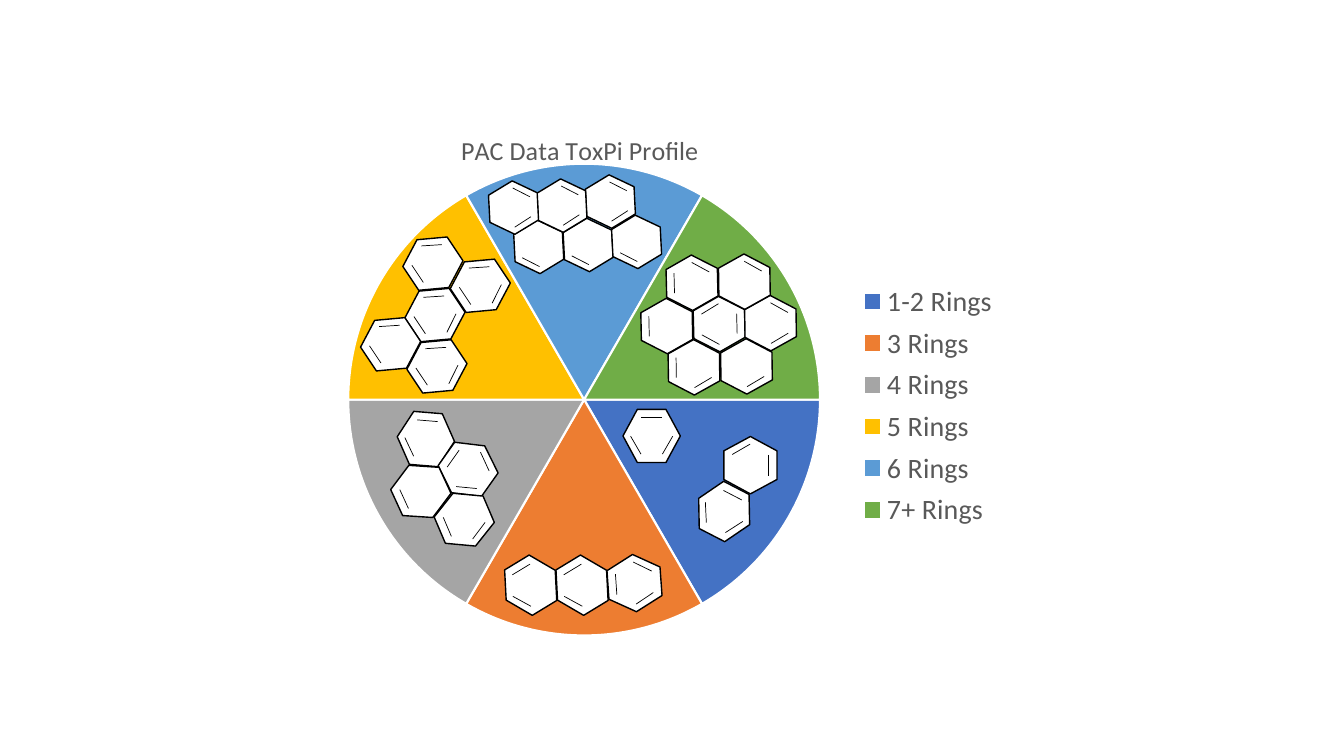
from dataclasses import dataclass
from math import cos, radians, sin

from pptx import Presentation
from pptx.chart.data import CategoryChartData
from pptx.dml.color import RGBColor
from pptx.enum.chart import XL_CHART_TYPE as ChartType, XL_LEGEND_POSITION as LegendPos
from pptx.enum.shapes import MSO_CONNECTOR as Connector, MSO_SHAPE as Shape
from pptx.oxml import parse_xml
from pptx.oxml.ns import nsdecls, qn
from pptx.oxml.xmlchemy import OxmlElement
from pptx.util import Pt

WHITE = RGBColor(0xFF, 0xFF, 0xFF)
BLACK = RGBColor(0x00, 0x00, 0x00)
GRAY_TEXT = RGBColor(0x59, 0x59, 0x59)
BLUE = RGBColor(0x44, 0x72, 0xC4)
ORANGE = RGBColor(0xED, 0x7D, 0x31)
GRAY = RGBColor(0xA5, 0xA5, 0xA5)
GOLD = RGBColor(0xFF, 0xC0, 0x00)
SKY = RGBColor(0x5B, 0x9B, 0xD5)
GREEN = RGBColor(0x70, 0xAD, 0x47)

FONT = "Calibri"
TITLE = "PAC Data ToxPi Profile"
SLICES = {
    "1-2 Rings": BLUE,
    "3 Rings": ORANGE,
    "4 Rings": GRAY,
    "5 Rings": GOLD,
    "6 Rings": SKY,
    "7+ Rings": GREEN,
}
SLICE_VALUE = 17


@dataclass(frozen=True)
class Ring:
    cx: float
    cy: float
    rotation: float
    double_bonds: tuple[int, ...]


@dataclass(frozen=True)
class Molecule:
    width: float
    height: float
    rings: tuple[Ring, ...]


MOLECULES = (
    Molecule(41, 38, (Ring(465.5, 311.4, 0, (0, 2, 4)),)),
    Molecule(41, 38, (
        Ring(536, 332.3, 90, (2, 4)),
        Ring(517.3, 365.4, 27.3, (0, 2, 4)),
    )),
    Molecule(41, 38, (
        Ring(415.8, 418, 328.7, (2, 4)),
        Ring(453.2, 416.5, 266, (0, 2, 4)),
        Ring(379.1, 418, 328.7, (2, 4)),
    )),
    Molecule(41, 38, (
        Ring(304.2, 313.6, 4.7, (2, 4)),
        Ring(334.4, 335.2, 305.3, (0, 2, 4)),
        Ring(331.6, 371.2, 246.9, (2, 4)),
        Ring(300.6, 351, 245.3, (4,)),
    )),
    Molecule(41, 38, (
        Ring(343.1, 204.1, 236.3, (0, 2, 4)),
        Ring(312.1, 261.7, 236.3, (0, 2, 4)),
        Ring(310.7, 225, 236.3, (0, 2, 4)),
        Ring(309.2, 188.3, 236.3, (0, 4)),
        Ring(279, 245.9, 236.3, (0, 4)),
    )),
    Molecule(38.2, 34.8, (
        Ring(436, 144, 87.1, (3, 5)),
        Ring(384.8, 176.4, 87.1, (0,)),
        Ring(420.1, 175, 87.1, (0,)),
        Ring(454.7, 172.8, 87.1, (0,)),
        Ring(401.4, 146.9, 87.1, (3, 5)),
        Ring(366.8, 148.3, 87.1, (3, 5)),
    )),
    Molecule(39.6, 36.7, (
        Ring(513.7, 231.5, 88.6, (0, 2, 4)),
        Ring(550.4, 230.8, 269.2, (0, 2)),
        Ring(476.3, 232.9, 268.8, (4,)),
        Ring(533.2, 261.7, 269.2, (2,)),
        Ring(495.7, 262.4, 269.2, (2, 4)),
        Ring(531.7, 201.2, 269.2, (0,)),
        Ring(494.3, 202, 88.6, (1, 3)),
    )),
)


def set_layout(parent, index: int, inner: bool = False, **fractions: float) -> None:
    for old in parent.findall(qn("c:layout")):
        parent.remove(old)
    target = '<c:layoutTarget val="inner"/>' if inner else ""
    modes = "".join(f'<c:{k}Mode val="edge"/>' for k in "xy")
    values = "".join(f'<c:{k} val="{v}"/>' for k, v in fractions.items())
    parent.insert(index, parse_xml(
        f'<c:layout {nsdecls("c")}><c:manualLayout>{target}{modes}{values}'
        "</c:manualLayout></c:layout>"))


def format_font(font, size: float, color: RGBColor) -> None:
    font.name = FONT
    font.size = Pt(size)
    font.bold = False
    font.color.rgb = color


def add_pie(slide) -> None:
    data = CategoryChartData()
    data.categories = list(SLICES)
    data.add_series(TITLE, [SLICE_VALUE] * len(SLICES))
    chart = slide.shapes.add_chart(
        ChartType.PIE, Pt(66.24), Pt(74.16), Pt(702), Pt(426.96), data).chart
    format_font(chart.font, 10, BLACK)

    chart.has_title = True
    tf = chart.chart_title.text_frame
    tf.text = TITLE
    format_font(tf.paragraphs[0].runs[0].font, 18.6, GRAY_TEXT)
    set_layout(chart.chart_title._element, 1, x=0.37, y=0.04)

    chart.has_legend = True
    legend = chart.legend
    legend.position = LegendPos.BOTTOM
    legend.include_in_layout = False
    format_font(legend.font, 20, GRAY_TEXT)
    set_layout(legend._element, 1, x=0.77, y=0.29, w=0.16, h=0.43)

    plot = chart.plots[0]
    plot.vary_by_categories = True
    for i, color in enumerate(SLICES.values()):
        fmt = plot.series[0].points[i].format
        fmt.fill.solid()
        fmt.fill.fore_color.rgb = color
        fmt.line.color.rgb = WHITE
        fmt.line.width = Pt(1.5)
    pie = plot._element
    for old in pie.findall(qn("c:firstSliceAng")):
        pie.remove(old)
    start = OxmlElement("c:firstSliceAng")
    start.set("val", "90")
    pie.append(start)
    set_layout(pie.getparent(), 0, inner=True, x=0.26, y=0.1, w=0.48, h=0.79)


def add_double_bond(slide, ring: Ring, width: float, edge: int) -> None:
    angle = radians(ring.rotation + 30 + 60 * edge)
    distance, half = 0.32 * width, 0.18 * width
    mx, my = ring.cx + distance * cos(angle), ring.cy + distance * sin(angle)
    dx, dy = -half * sin(angle), half * cos(angle)
    line = slide.shapes.add_connector(
        Connector.STRAIGHT, Pt(mx - dx), Pt(my - dy), Pt(mx + dx), Pt(my + dy))
    line.line.color.rgb = BLACK
    line.line.width = Pt(0.5)
    line._element.spPr.append(OxmlElement("a:effectLst"))


def add_ring(slide, ring: Ring, width: float, height: float) -> None:
    sp = slide.shapes.add_shape(
        Shape.HEXAGON, Pt(ring.cx - width / 2), Pt(ring.cy - height / 2),
        Pt(width), Pt(height))
    sp.adjustments[0] = 0.27
    sp.rotation = ring.rotation
    sp.shadow.inherit = False
    sp.fill.solid()
    sp.fill.fore_color.rgb = WHITE
    sp.line.color.rgb = BLACK
    sp.line.width = Pt(1)
    for edge in ring.double_bonds:
        add_double_bond(slide, ring, width, edge)


def main() -> None:
    prs = Presentation()
    prs.slide_width, prs.slide_height = Pt(960), Pt(540)
    slide = prs.slides.add_slide(prs.slide_layouts[6])
    add_pie(slide)
    for molecule in MOLECULES:
        for ring in molecule.rings:
            add_ring(slide, ring, molecule.width, molecule.height)
    prs.save("out.pptx")


if __name__ == "__main__":
    main()
